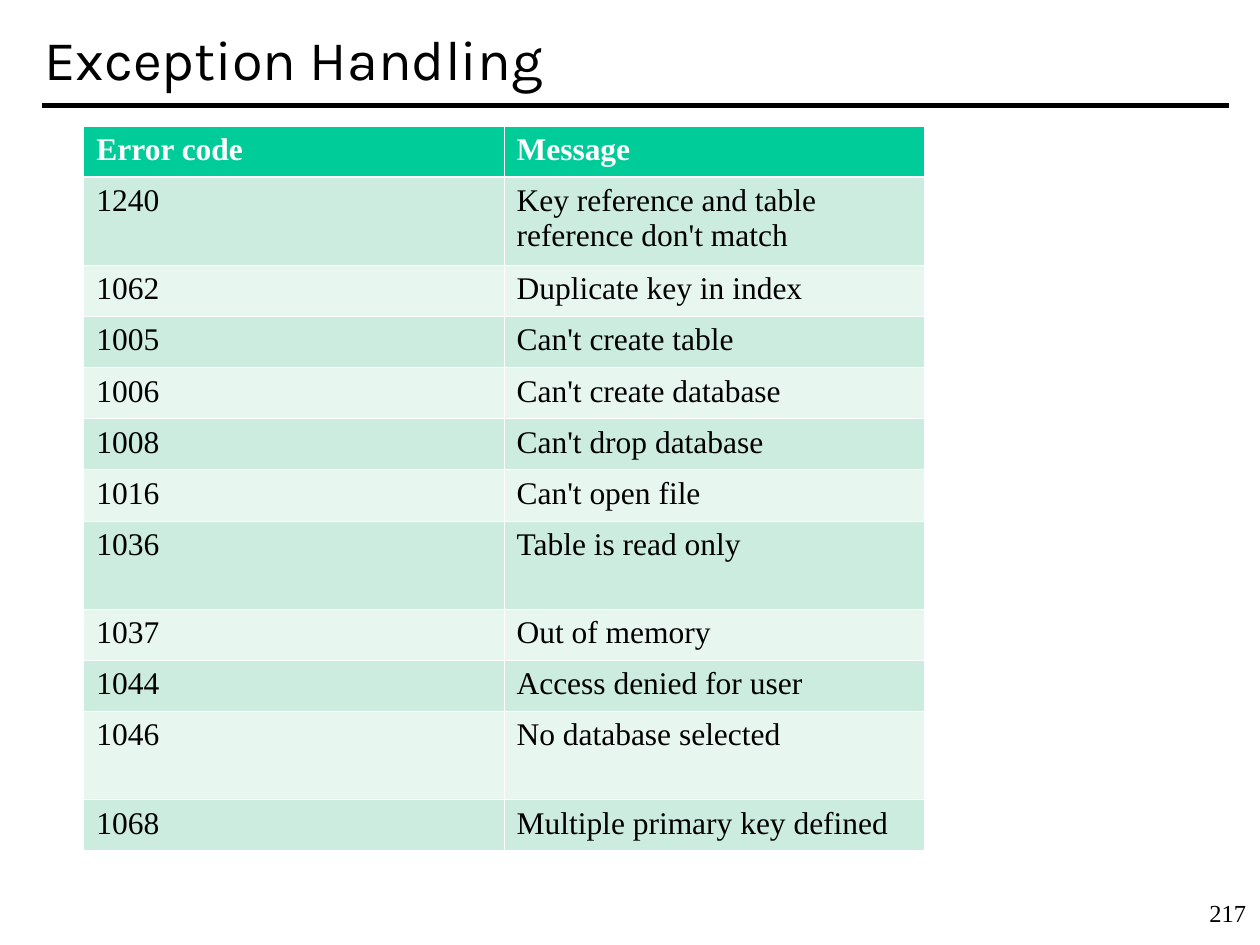
import pptx
import pptx.dml.color
import pptx.enum.shapes
import pptx.enum.text
import pptx.oxml
import pptx.oxml.ns
import pptx.util
from lxml import etree

Cm, Pt = pptx.util.Cm, pptx.util.Pt
qn = pptx.oxml.ns.qn

# Content
TITLE = "Exception Handling"
PAGE = "217"
HEADER = ("Error code", "Message")
ERRORS = [
    ("1240", "Key reference and table reference don't match"),
    ("1062", "Duplicate key in index"),
    ("1005", "Can't create table"),
    ("1006", "Can't create database"),
    ("1008", "Can't drop database"),
    ("1016", "Can't open file"),
    ("1036", "Table is read only"),
    ("1037", "Out of memory"),
    ("1044", "Access denied for user"),
    ("1046", "No database selected"),
    ("1068", "Multiple primary key defined"),
]
TALL = {"1240", "1036", "1046"}

# Style
SERIF = "Times New Roman"
BLACK, WHITE = "000000", "FFFFFF"
HEAD_FILL, BANDS = "00CC99", ("CBECDE", "E7F6EF")
ROW_H, TALL_H, COL_W = 1.03, 1.78, 8.47
THIN, THICK = 0.45, 1.47


def rgb(color):
    return pptx.dml.color.RGBColor.from_string(color)


def style(p, name, size, color, bold=False):
    p.font.name, p.font.size, p.font.bold = name, Pt(size), bold
    p.font.color.rgb = rgb(color)


def add_text(slide, text, left, top, width, height, name, size, anchor):
    tf = slide.shapes.add_textbox(Cm(left), Cm(top), Cm(width), Cm(height)).text_frame
    tf.word_wrap = True
    tf.vertical_anchor = anchor
    p = tf.paragraphs[0]
    p.text = text
    style(p, name, size, BLACK)


def set_borders(cell, top, bottom):
    tcPr = cell._tc.get_or_add_tcPr()
    widths = (("a:lnL", THIN), ("a:lnR", THIN), ("a:lnT", top), ("a:lnB", bottom))
    for i, (tag, width) in enumerate(widths):
        ln = etree.Element(qn(tag), w=str(Pt(width)))
        fill = etree.SubElement(ln, qn("a:solidFill"))
        etree.SubElement(fill, qn("a:srgbClr"), val=WHITE)
        tcPr.insert(i, ln)


def add_error_table(slide):
    rows = [HEADER] + ERRORS
    heights = [TALL_H if row[0] in TALL else ROW_H for row in rows]
    table = slide.shapes.add_table(
        len(rows), len(HEADER), Cm(1.69), Cm(2.54),
        Cm(COL_W * len(HEADER)), Cm(sum(heights))).table
    for column in table.columns:
        column.width = Cm(COL_W)
    for i, (row, height) in enumerate(zip(rows, heights)):
        table.rows[i].height = Cm(height)
        head = i == 0
        for j, text in enumerate(row):
            cell = table.cell(i, j)
            cell.fill.solid()
            cell.fill.fore_color.rgb = rgb(HEAD_FILL if head else BANDS[(i - 1) % 2])
            set_borders(cell, THICK if i == 1 else THIN, THICK if head else THIN)
            p = cell.text_frame.paragraphs[0]
            p.text = text
            style(p, SERIF, 18, WHITE if head else BLACK, head)


def main():
    prs = pptx.Presentation()
    prs.slide_width, prs.slide_height = Cm(25.4), Cm(19.05)
    slide = prs.slides.add_slide(prs.slide_layouts[6])

    # Rule under the title
    rule = slide.shapes.add_connector(
        pptx.enum.shapes.MSO_CONNECTOR.STRAIGHT, Cm(0.85), Cm(2.12), Cm(24.77), Cm(2.12))
    rule.line.color.rgb = rgb(BLACK)
    rule.line.width = Pt(3)
    etree.SubElement(rule._element.spPr, qn("a:effectLst"))

    # Page number, title and table
    anchors = pptx.enum.text.MSO_ANCHOR
    add_text(slide, PAGE, 24.13, 17.98, 1.27, 0.86, SERIF, 14, anchors.TOP)
    add_text(slide, TITLE, 0.64, 0, 24.13, 2.33, "Karla", 32, anchors.MIDDLE)
    add_error_table(slide)
    prs.save("out.pptx")


if __name__ == "__main__":
    main()
